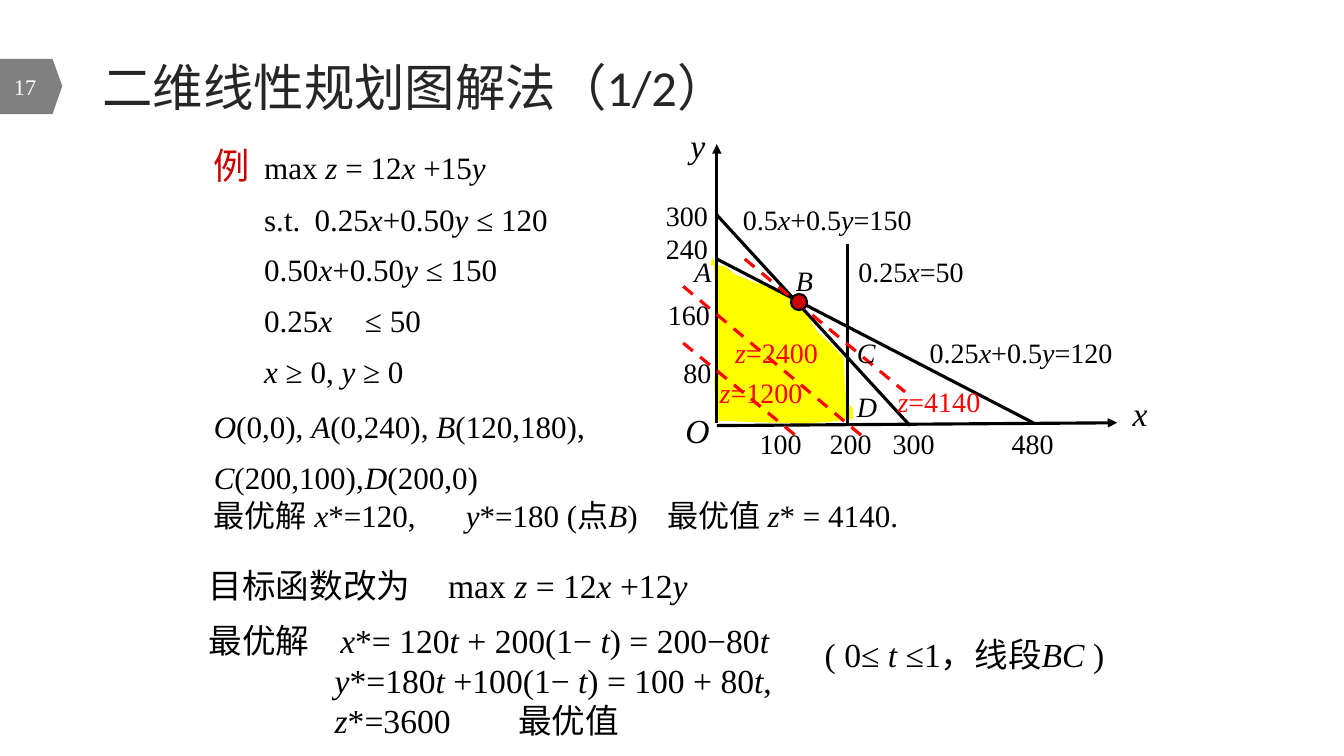
from lxml.etree import SubElement
from pptx import Presentation
from pptx.dml.color import RGBColor
from pptx.enum.dml import MSO_LINE_DASH_STYLE as DASH
from pptx.enum.shapes import MSO_CONNECTOR as CONN, MSO_SHAPE as SHAPE
from pptx.enum.text import MSO_ANCHOR as ANCHOR, MSO_AUTO_SIZE as AUTO, PP_ALIGN as ALIGN
from pptx.oxml.ns import qn
from pptx.util import Pt


class Theme:
    serif, sans = "Times New Roman", "Calibri"
    black, white, ink = "000000", "FFFFFF", "262626"
    red, dark_red, yellow, grey = "FF0000", "CC0000", "FFFF00", "808080"
    title, text, axis, example, body, label, number = 36, 24, 24, 25.9, 22.2, 20, 16
    line, rim, edge = 2.25, 1.5, 1


# Content: underscores switch italics on and off, tabs jump to the listed stops
TITLE = " 二维线性规划图解法（1/2）"
PAGE = "17"
EXAMPLE = "例"
# text, space before, tab stops
PROBLEM = [
    ("\tmax _z _= 12_x _+15_y_", 15, [38]),
    ("\ts.t.\t0.25_x_+0.50_y _≤ 120", 15, [39, 77]),
    ("\t0.50_x_+0.50_y _≤ 150", 15, [77]),
    ("\t0.25_x_\t≤ 50", 15, [77, 199]),
    ("\t_x _≥ 0, _y _≥ 0", 15, [77]),
    ("_O_(0,0), _A_(0,240),_ B_(120,180),", 18, []),
    ("_C_(200,100),\t_D_(200,0)", 15, [118]),
    ("最优解\t_x_*=120,\t_y_*=180 (点_B_)\t最优值 _z_* = 4140.", 6, [87, 170, 331]),
]
# box, paragraphs
NOTES = [
    ((142, 400, 360, 36), [("目标函数改为\tmax _z _= 12_x _+12_y_", 0, [171])]),
    ((142, 439, 656, 94), [
        ("最优解\t_x_*= 120_t _+ 200(1− _t_) = 200−80_t_", 12, [94]),
        ("\t_y_*=180_t _+100(1− _t_) = 100 + 80_t_,", 0, [90]),
        ("\t_z_*=3600\t最优值", 0, [90, 221])]),
    ((582, 449, 228, 36), [("( 0≤ _t _≤1，线段_BC _)", 0, [])]),
]
# box, lines, size, colour, tab stops
LABELS = [
    ((634, 271, 76, 30), ["_z_=4140"], Theme.label, Theme.red, []),
    ((507, 265, 80, 30), ["_z_=1200"], Theme.label, Theme.red, []),
    ((518, 236, 88, 32), ["_z_=2400"], Theme.label, Theme.red, []),
    ((657, 236, 155, 31), ["0.25_x_+0.5_y_=120"], Theme.label, Theme.black, []),
    ((523.5, 141, 148, 30), ["0.5_x_+0.5_y_=150"], Theme.label, Theme.black, []),
    ((606, 178, 104, 39), ["0.25_x_=50"], Theme.label, Theme.black, []),
    ((482.5, 289.5, 38, 42), ["_O_"], Theme.axis, Theme.black, []),
    ((802, 277, 38, 42), ["_x_"], Theme.axis, Theme.black, []),
    ((486, 85.5, 38, 42), ["_y_"], Theme.axis, Theme.black, []),
    ((489, 178, 36, 36), ["_A_"], Theme.label, Theme.black, []),
    ((561.5, 185, 31, 32), ["_B_"], Theme.label, Theme.black, []),
    ((605, 236, 32, 34), ["_C_"], Theme.label, Theme.black, []),
    ((605, 275, 32, 32), ["_D_"], Theme.label, Theme.black, []),
    ((535.5, 301, 243, 30), ["100\t200\t300\t480"], Theme.label, Theme.black, [50, 95, 180]),
    ((468.5, 138, 46, 56), ["300", "240"], Theme.label, Theme.black, []),
    ((470, 209, 57, 42), ["160"], Theme.label, Theme.black, []),
    ((481, 250.5, 39, 34), ["80"], Theme.label, Theme.black, []),
]
AXES = [(512, 304, 798, 302), (512, 302, 512, 103)]
CONSTRAINTS = [(512, 185, 738, 302), (512, 153.5, 650, 304), (605.5, 304, 605.5, 174)]
OBJECTIVES = [(488, 245, 570, 312.5), (488, 204.5, 617, 312.5), (532, 185, 646.5, 280)]
REGION = [
    (509, 185), (510.5, 188.5), (513, 236), (512, 268), (510.5, 271), (512, 300),
    (536, 301), (575, 302), (591, 301), (609, 299), (608.5, 291.5), (605.5, 288.5),
    (603.5, 280), (602, 255.5), (596, 249), (590, 243), (584, 238), (577.5, 228),
    (572, 219), (567, 212), (559.5, 209.5), (547, 204.5), (538.5, 202), (531, 199),
    (524, 196), (518, 191), (508, 189),
]
TAG = [(0, 42), (37.5, 42), (44.5, 61.5), (37.5, 81.5), (0, 81.5)]
OPTIMUM = (565, 210, 11.5, 11.5)


def rgb(color):
    return RGBColor.from_string(color)


def put(obj, **values):
    for name, value in values.items():
        setattr(obj, name, value)


def place(sp, box):
    put(sp, **dict(zip(("left", "top", "width", "height"), map(Pt, box))))


def add_run(p, text, size, color, font=Theme.serif, italic=False):
    r = p.add_run()
    r.text = text
    put(r.font, name=font, size=Pt(size), italic=italic)
    r.font.color.rgb = rgb(color)


def write(p, text, size, color=Theme.black, stops=()):
    for i, part in enumerate(text.split("_")):
        if part:
            add_run(p, part, size, color, italic=i % 2 == 1)
    if stops:
        tabs = SubElement(p._p.get_or_add_pPr(), qn("a:tabLst"))
        for stop in stops:
            SubElement(tabs, qn("a:tab"), pos=str(Pt(stop)), algn="l")


def paragraphs(tf, count):
    return [tf.paragraphs[0]] + [tf.add_paragraph() for _ in range(count - 1)]


def text_box(shapes, box):
    tf = shapes.add_textbox(*map(Pt, box)).text_frame
    tf.word_wrap = True
    return tf


def outline(shapes, points, fill, edge=None):
    pts = [(Pt(x), Pt(y)) for x, y in points]
    fb = shapes.build_freeform(*pts[0], scale=1.0)
    fb.add_line_segments(pts[1:], close=True)
    paint(fb.convert_to_shape(), fill, edge, Theme.edge)


def paint(sp, fill, edge, width):
    sp.shadow.inherit = False
    sp.fill.solid()
    sp.fill.fore_color.rgb = rgb(fill)
    if edge:
        sp.line.color.rgb = rgb(edge)
        sp.line.width = Pt(width)
    else:
        sp.line.fill.background()


def line(shapes, ends, color=Theme.black, dash=None, arrow=False):
    c = shapes.add_connector(CONN.STRAIGHT, *map(Pt, ends))
    c.line.color.rgb = rgb(color)
    put(c.line, width=Pt(Theme.line), dash_style=dash)
    if arrow:
        SubElement(c.line._get_or_add_ln(), qn("a:tailEnd"), type="triangle")
    SubElement(c._element.spPr, qn("a:effectLst"))


def main():
    prs = Presentation()
    put(prs, slide_width=Pt(960), slide_height=Pt(540))
    s = prs.slides.add_slide(prs.slide_layouts[1])
    shapes = s.shapes
    title, body = s.placeholders

    # Title and page tag
    place(title, (58, 34, 786, 55))
    put(title.text_frame, vertical_anchor=ANCHOR.MIDDLE, auto_size=AUTO.NONE)
    p = title.text_frame.paragraphs[0]
    p.alignment = ALIGN.LEFT
    add_run(p, TITLE, Theme.title, Theme.ink, Theme.sans)
    outline(shapes, TAG, Theme.grey)
    tf = text_box(shapes, (0, 47, 33, 29))
    tf.vertical_anchor = ANCHOR.MIDDLE
    tf.paragraphs[0].alignment = ALIGN.RIGHT
    write(tf.paragraphs[0], PAGE, Theme.number, Theme.white)

    # Example problem
    place(body, (145.5, 104.5, 612, 289.5))
    tf = body.text_frame
    put(tf, auto_size=AUTO.NONE, vertical_anchor=ANCHOR.TOP)
    for i, (p, (text, before, stops)) in enumerate(zip(paragraphs(tf, len(PROBLEM)), PROBLEM)):
        put(p, line_spacing=0.8, space_before=Pt(before))
        pPr = p._p.get_or_add_pPr()
        pPr.set("marL", "0")
        pPr.set("indent", "0")
        SubElement(pPr, qn("a:buNone"))
        if i == 0:
            add_run(p, EXAMPLE, Theme.example, Theme.dark_red)
        write(p, text, Theme.body, stops=stops)

    # Graph: feasible region, lines, labels
    outline(shapes, REGION, Theme.yellow, Theme.yellow)
    for ends in AXES:
        line(shapes, ends, arrow=True)
    for ends in CONSTRAINTS:
        line(shapes, ends)
    for ends in OBJECTIVES:
        line(shapes, ends, Theme.red, DASH.DASH)
    for box, texts, size, color, stops in LABELS:
        for p, text in zip(paragraphs(text_box(shapes, box), len(texts)), texts):
            write(p, text, size, color, stops)

    # Changed objective
    for box, lines in NOTES:
        for p, (text, before, stops) in zip(paragraphs(text_box(shapes, box), len(lines)), lines):
            p.space_before = Pt(before)
            write(p, text, Theme.text, stops=stops)

    # Optimal vertex
    dot = shapes.add_shape(SHAPE.OVAL, *map(Pt, OPTIMUM))
    paint(dot, Theme.dark_red, Theme.black, Theme.rim)

    prs.save("out.pptx")


if __name__ == "__main__":
    main()
